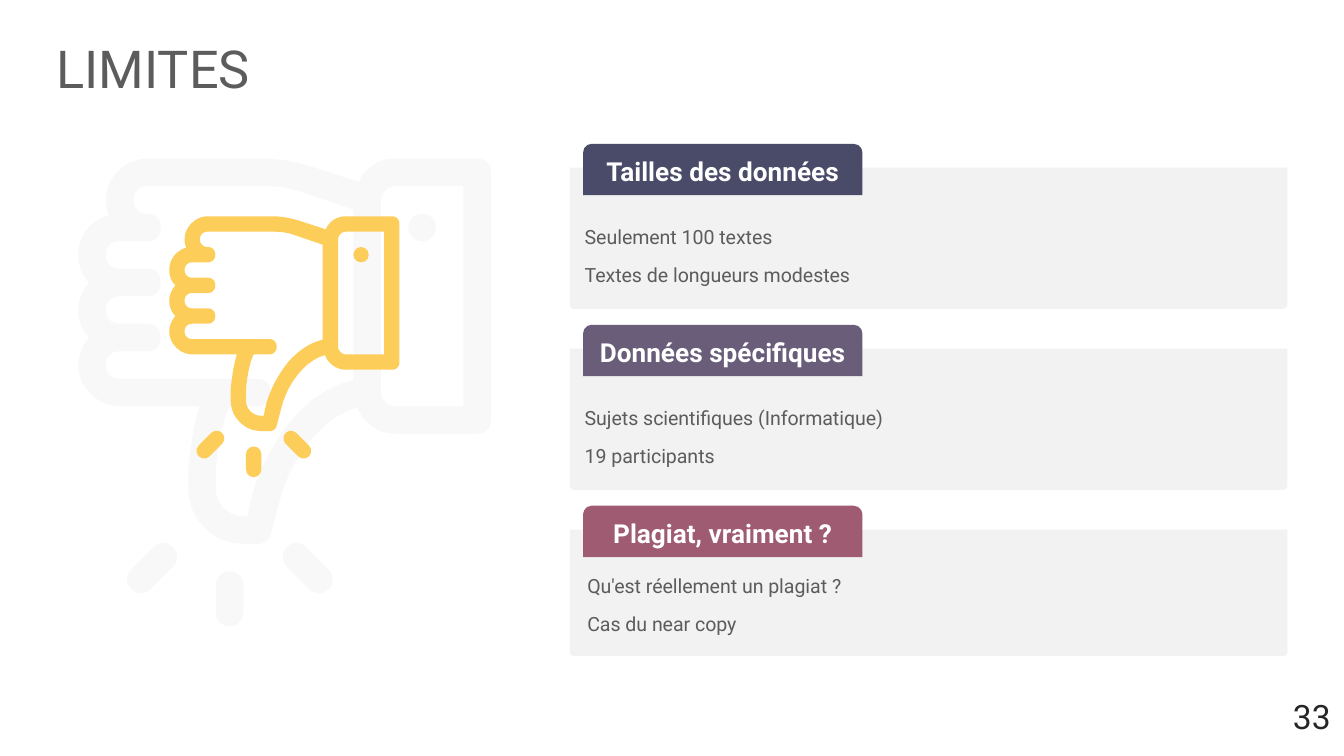
from dataclasses import dataclass
from lxml.etree import SubElement
from pptx import Presentation
from pptx.dml.color import RGBColor
from pptx.enum.shapes import MSO_SHAPE
from pptx.enum.text import MSO_ANCHOR, MSO_AUTO_SIZE, PP_ALIGN
from pptx.oxml.ns import qn
from pptx.util import Cm, Pt


@dataclass(frozen=True)
class Theme:
    """Colours, type sizes and the font of the slide."""
    font: str = "Roboto"
    text: str = "5C5C5C"
    dark: str = "262626"
    white: str = "FFFFFF"
    panel: str = "F2F2F2"
    gold: str = "FDCD5A"
    tabs: tuple = ("494B69", "695D7A", "9F5B72")
    title: float = 28
    page: float = 18
    head: float = 14
    body: float = 10.5


HAND = [
    (0.4, 6.5), (0.15, 6.8, 0, 7.15, 0, 7.5), (0, 8.3, 0.7, 9, 1.5, 9),
    (4.4, 9), (4.15, 9.9, 4, 11, 4, 11.5), (4, 12),
    (4, 13.1, 4.9, 14, 6, 14), (6.5, 14), (6.75, 14, 6.93, 13.9, 7, 13.65),
    (7.3, 12.5), (7.65, 11, 8.85, 9.35, 10.15, 9.05),
    (10.35, 9.6, 10.9, 10, 11.5, 10), (14.5, 10),
    (14.8, 10, 15, 9.8, 15, 9.5), (15, 0.5), (15, 0.2, 14.8, 0, 14.5, 0),
    (11.5, 0), (10.9, 0, 10.4, 0.35, 10.2, 0.85), (8.45, 0.28),
    (7.85, 0.1, 7.3, 0, 6.7, 0), (2.5, 0), (1.7, 0, 1, 0.7, 1, 1.5),
    (1, 1.7, 1.05, 1.9, 1.1, 2.05), (0.5, 2.2, 0, 2.8, 0, 3.5),
    (0, 3.9, 0.15, 4.25, 0.4, 4.5), (0.15, 4.8, 0, 5.15, 0, 5.5),
    (0, 5.9, 0.15, 6.25, 0.4, 6.5),
]
CUFF = [
    (11, 1.5), (11, 1.25, 11.25, 1, 11.5, 1), (14, 1), (14, 9), (11.5, 9),
    (11.25, 9, 11, 8.75, 11, 8.5),
]
PALM = [
    (2.5, 2), (2.2, 2, 2, 1.8, 2, 1.5), (2, 1.2, 2.2, 1, 2.5, 1), (6.7, 1),
    (7.2, 1, 7.65, 1.05, 8.1, 1.2), (10, 1.85), (10, 8.05),
    (9.25, 8.2, 8.45, 8.7, 7.75, 9.5), (7.1, 10.3, 6.55, 11.35, 6.3, 12.3),
    (6.15, 13), (6, 13), (5.45, 13, 5, 12.55, 5, 12), (5, 11.5),
    (5, 10.85, 5.2, 9.6, 5.5, 9), (6.5, 9), (6.8, 9, 7, 8.8, 7, 8.5),
    (7, 8.2, 6.8, 8, 6.5, 8),
]
RAYS = [(5.5, 16, 2, 0), (8.34, 14.88, 2.16, -45), (2.68, 14.88, 2.16, 45)]
CARDS = [
    ("Tailles des données", 2.67, (11.05, 3.99),
     ["Seulement 100 textes", "Textes de longueurs modestes"]),
    ("Données spécifiques", 2.67, (11.05, 7.41),
     ["Sujets scientifiques (Informatique)", "19 participants"]),
    ("Plagiat, vraiment ?", 2.39, (11.1, 10.59),
     ["Qu'est réellement un plagiat ?", "Cas du near copy"]),
]


def finger(y):
    """Return the inner edge of the finger whose lower side is at y."""
    return [
        (1.5, y), (1.2, y, 1, y - 0.2, 1, y - 0.5),
        (1, y - 0.8, 1.2, y - 1, 1.5, y - 1), (2.5, y - 1),
        (2.8, y - 1, 3, y - 1.2, 3, y - 1.5),
        (3, y - 1.8, 2.8, y - 2, 2.5, y - 2),
    ]


def trace(curve, steps=10):
    """Turn lines and cubic curves into points in hundredths of a unit."""
    spots = [curve[0]]
    for seg in curve[1:]:
        if len(seg) == 2:
            spots.append(seg)
            continue
        ends = [spots[-1], seg[:2], seg[2:4], seg[4:]]
        for step in range(1, steps + 1):
            t = step / steps
            mix = ((1 - t) ** 3, 3 * t * (1 - t) ** 2, 3 * t * t * (1 - t), t ** 3)
            spots.append(tuple(sum(m * e[i] for m, e in zip(mix, ends)) for i in (0, 1)))
    return [(100 * x, 100 * y) for x, y in spots]


def apply(item, vals):
    """Set each named value on the item."""
    for name, val in vals.items():
        setattr(item, name, val)


class Deck:
    """Hold the theme and the current slide, and draw each kind of element."""

    def __init__(self, theme):
        """Open a blank deck with one slide."""
        self.theme = theme
        self.prs = Presentation()
        apply(self.prs, {"slide_width": Cm(25.4), "slide_height": Cm(14.29)})
        self.slide = self.prs.slides.add_slide(self.prs.slide_layouts[4])
        self.shapes = self.slide.shapes

    def paint(self, shape, color, alpha=None):
        """Give the shape a flat fill without line or shadow."""
        shape.shadow.inherit = False
        shape.fill.solid()
        shape.fill.fore_color.rgb = RGBColor.from_string(color)
        shape.line.fill.background()
        if alpha:
            tint = shape._element.spPr.find(".//" + qn("a:srgbClr"))
            SubElement(tint, qn("a:alpha"), val=str(alpha * 1000))

    def form(self, kind, box, color, alpha=None, adjs=(), turn=0):
        """Add a preset shape."""
        shape = self.shapes.add_shape(kind, *map(Cm, box))
        for i, val in enumerate(adjs):
            shape.adjustments[i] = val
        shape.rotation = turn
        self.paint(shape, color, alpha)
        return shape

    def letter(self, shape, lines, size, color, align=PP_ALIGN.LEFT, bold=False,
               space=1.0, plain=False, **frame):
        """Fill the text frame of a shape with one paragraph per line."""
        text = shape.text_frame
        apply(text, {"word_wrap": True, "auto_size": MSO_AUTO_SIZE.NONE, **frame})
        for i, line in enumerate(lines):
            para = text.add_paragraph() if i else text.paragraphs[0]
            apply(para, {"alignment": align, "line_spacing": space,
                         "space_before": Pt(0), "space_after": Pt(0)})
            if plain:
                props = para._p.get_or_add_pPr()
                props.set("marL", "0")
                props.set("indent", "0")
                SubElement(props, qn("a:buNone"))
            run = para.add_run()
            run.text = line
            apply(run.font, {"name": self.theme.font, "size": Pt(size), "bold": bold})
            run.font.color.rgb = RGBColor.from_string(color)

    def hold(self, index, box, lines, size, space, anchor):
        """Place and fill a placeholder in front of the shapes so far."""
        shape = self.slide.placeholders[index]
        apply(shape, dict(zip(("left", "top", "width", "height"), map(Cm, box))))
        self.shapes._spTree.append(shape._element)
        edges = {"margin_" + side: 0 for side in ("left", "right", "top", "bottom")}
        self.letter(shape, lines, size, self.theme.text, space=space,
                    plain=index > 0, vertical_anchor=anchor, **edges)

    def thumb(self, left, top, unit, color, alpha=None):
        """Draw a thumb pointing down, on a grid of the given unit."""
        palm = PALM + [seg for y in (8, 6, 4) for seg in finger(y)]
        first, *holes = [trace(curve) for curve in (HAND, CUFF, palm)]
        pen = self.shapes.build_freeform(*first[0], scale=Cm(unit) / 100)
        pen.add_line_segments(first[1:])
        for hole in holes:
            pen.move_to(*hole[0])
            pen.add_line_segments(hole[1:])
        self.paint(pen.convert_to_shape(Cm(left), Cm(top)), color, alpha)

        def part(kind, x, y, tall, turn=0, adjs=()):
            """Add a part one unit wide, centred on a grid point."""
            box = (left + (x - 0.5) * unit, top + (y - tall / 2) * unit,
                   unit, tall * unit)
            self.form(kind, box, color, alpha, adjs, turn)

        part(MSO_SHAPE.OVAL, 12.5, 2.5, 1)
        for ray in RAYS:
            part(MSO_SHAPE.ROUNDED_RECTANGLE, *ray, adjs=(0.5,))

    def card(self, row, head, tall, spot, lines):
        """Draw a panel with its coloured tab and its list."""
        look = self.theme
        top = 2.72 + 3.42 * row
        kind = MSO_SHAPE.ROUND_2_SAME_RECTANGLE
        self.form(kind, (10.77, top + 0.45, 13.56, tall), look.panel, adjs=(0, 0.03))
        tab = self.form(kind, (11.02, top, 5.28, 0.97), look.tabs[row], adjs=(0.17, 0))
        self.letter(tab, [head], look.head, look.white, PP_ALIGN.CENTER, True,
                    vertical_anchor=MSO_ANCHOR.MIDDLE, margin_left=0, margin_right=0)
        self.hold(row + 1, (*spot, 12.88, 1.42), lines, look.body, 1.6, MSO_ANCHOR.TOP)

    def strip(self, label):
        """Add the bottom strip with the page number."""
        look = self.theme
        bar = self.form(MSO_SHAPE.RECTANGLE, (0, 13.03, 25.4, 1.26), look.white)
        self.letter(bar, [label], look.page, look.dark, PP_ALIGN.RIGHT,
                    vertical_anchor=MSO_ANCHOR.TOP)


def main():
    """Build and save the slide."""
    look = Theme()
    deck = Deck(look)
    deck.hold(0, (1.07, 0.79, 23.24, 1.14), ["LIMITES"], look.title, 0.9,
              MSO_ANCHOR.MIDDLE)
    deck.thumb(1.48, 3, 0.52, look.panel, 50)
    deck.thumb(3.2, 4.09, 0.29, look.gold)
    for row, card in enumerate(CARDS):
        deck.card(row, *card)
    deck.strip("33")
    spare = deck.slide.placeholders[4]._element
    spare.getparent().remove(spare)
    deck.prs.save("out.pptx")


if __name__ == "__main__":
    main()
